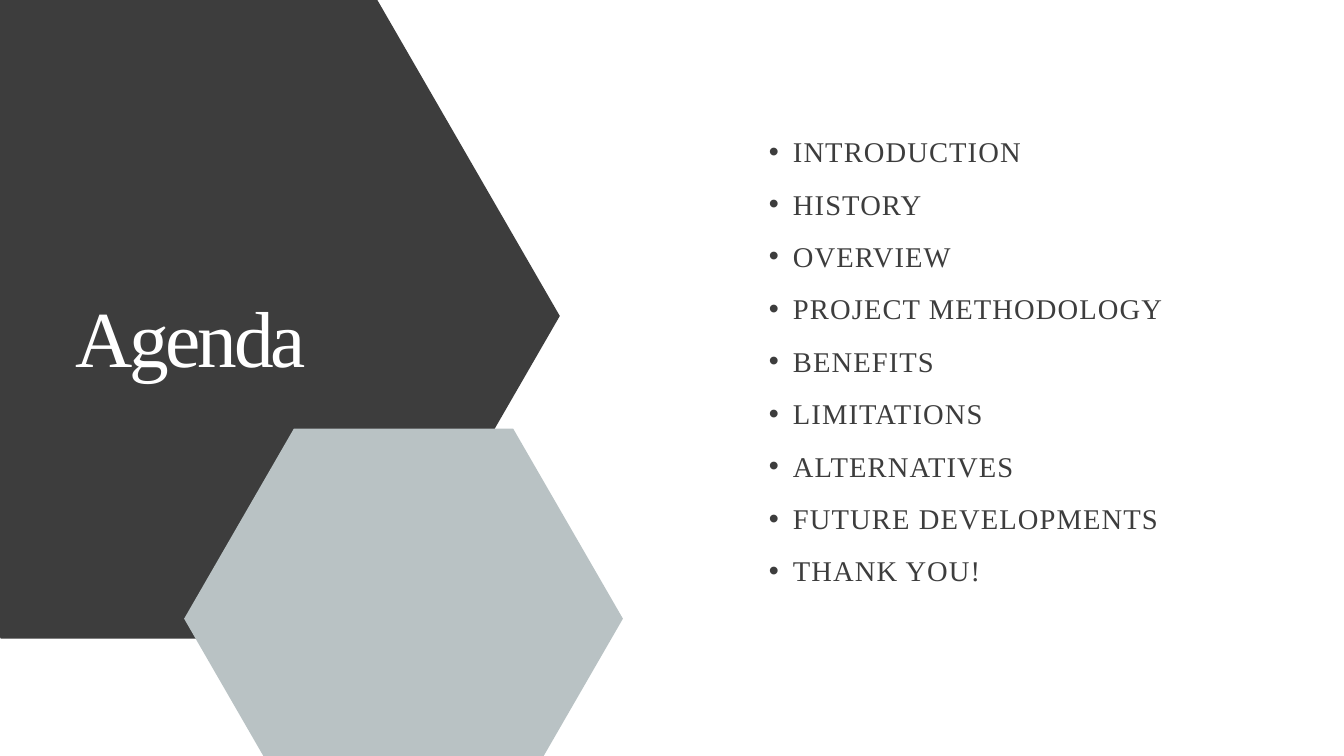
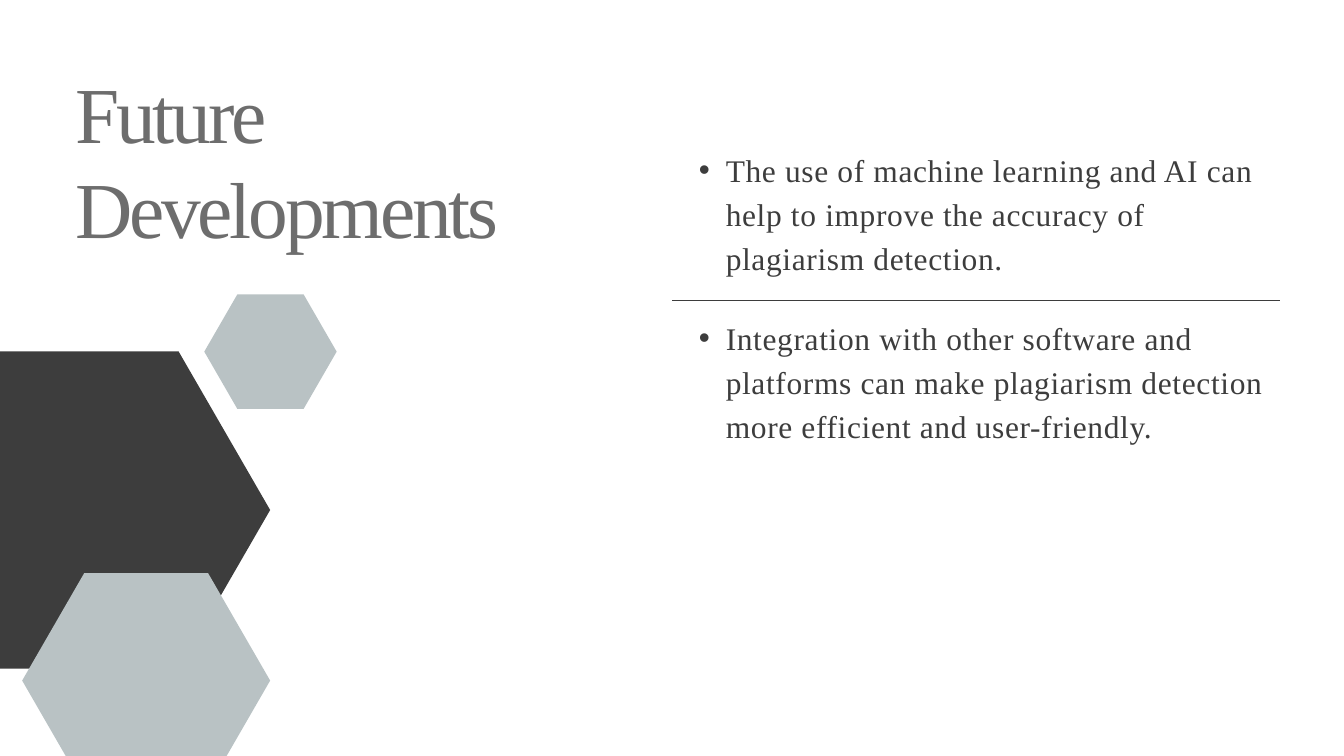
from math import sqrt

from lxml.etree import SubElement
from pptx import Presentation
from pptx.dml.color import RGBColor
from pptx.enum.shapes import MSO_CONNECTOR as CONN
from pptx.enum.text import MSO_AUTO_SIZE as AUTO
from pptx.oxml.ns import qn
from pptx.util import Inches, Pt

# Content
AGENDA = [
    "INTRODUCTION", "HISTORY", "OVERVIEW", "PROJECT METHODOLOGY", "BENEFITS",
    "LIMITATIONS", "ALTERNATIVES", "FUTURE DEVELOPMENTS", "THANK YOU!",
]
DEVELOPMENTS = [
    "The use of machine learning and AI can help to improve the accuracy "
    "of plagiarism detection.",
    "Integration with other software and platforms can make plagiarism "
    "detection more efficient and user-friendly.",
]

# Shared style
FONT = "Times New Roman"
DARK, GREY, MIST, WHITE = "3D3D3D", "6D6D6D", "B9C2C4", "FFFFFF"
TITLE = dict(size=85, leading=102, spacing=-3.4)
AGENDA_ITEM = dict(size=30.6, leading=42.9, spacing=1.2, indent=0.36)
POINT = dict(size=33.7, leading=47.2, spacing=0.7, indent=0.4)

# Hexagons: left, top, width, colour
AGENDA_HEXAGONS = [(-2.76, -0.1, 11.09, DARK), (2.74, 6.38, 6.53, MIST)]
FUTURE_HEXAGONS = [
    (-1.43, 5.23, 5.45, DARK), (3.04, 4.38, 1.97, MIST), (0.33, 8.53, 3.69, MIST),
]
HEXAGON_CORNERS = [(1, 0.5), (0.75, 1), (0.25, 1), (0, 0.5), (0.25, 0), (0.75, 0)]


def rgb(value):
    return RGBColor.from_string(value)


def add_slide(prs):
    s = prs.slides.add_slide(prs.slide_layouts[6])
    s.background.fill.solid()
    s.background.fill.fore_color.rgb = rgb(WHITE)
    return s


def add_hexagons(s, hexagons):
    """Draw regular hexagons with flat tops."""
    for left, top, width, color in hexagons:
        height = width * sqrt(3) / 2
        points = [(Inches(left + fx * width), Inches(top + fy * height))
                  for fx, fy in HEXAGON_CORNERS]
        builder = s.shapes.build_freeform(*points[0])
        builder.add_line_segments(points[1:], close=True)
        sp = builder.convert_to_shape()
        sp.shadow.inherit = False
        sp.fill.solid()
        sp.fill.fore_color.rgb = rgb(color)
        sp.line.fill.background()


def add_text(s, text, left, top, width, height, *, size, leading, spacing,
             color=DARK, indent=None):
    """Add a text box; an indent makes it a bullet."""
    sp = s.shapes.add_textbox(*map(Inches, (left, top, width, height)))
    tf = sp.text_frame
    tf.word_wrap = True
    tf.auto_size = AUTO.SHAPE_TO_FIT_TEXT
    tf.margin_left = tf.margin_top = tf.margin_right = tf.margin_bottom = 0
    p = tf.paragraphs[0]
    p.line_spacing = Pt(leading)
    r = p.add_run()
    r.text = text
    r.font.name, r.font.size = FONT, Pt(size)
    r.font.color.rgb = rgb(color)
    r.font._element.set("spc", str(round(spacing * 100)))
    if indent:
        p.level = 1
        pPr = p._p.get_or_add_pPr()
        pPr.set("marL", str(Inches(2 * indent)))
        pPr.set("indent", str(Inches(-indent)))
        SubElement(pPr, qn("a:buFont")).set("typeface", "Arial")
        SubElement(pPr, qn("a:buChar")).set("char", "•")


def add_rule(s, left, right, y):
    line = s.shapes.add_connector(
        CONN.STRAIGHT, Inches(left), Inches(y), Inches(right), Inches(y))
    line.line.color.rgb = rgb(DARK)
    line.line.width = Pt(0.75)
    SubElement(line._element.spPr, qn("a:effectLst"))


def build_agenda(prs):
    s = add_slide(prs)
    add_hexagons(s, AGENDA_HEXAGONS)
    add_text(s, "Agenda", 1.12, 4.29, 4.88, 1.58, color=WHITE, **TITLE)
    # Evenly stacked items
    top, step = 1.91, 0.78
    for i, item in enumerate(AGENDA):
        add_text(s, item, 11.08, top + i * step, 7.15, 0.64, **AGENDA_ITEM)


def build_future(prs):
    s = add_slide(prs)
    add_text(s, "Future Developments", 1.12, 0.95, 7.24, 2.99, color=GREY, **TITLE)
    add_hexagons(s, FUTURE_HEXAGONS)
    # Points above and below the rule
    left, width = 10, 9.05
    for text, top, height in zip(DEVELOPMENTS, (2.15, 4.65), (1.99, 3.15)):
        add_text(s, text, left, top, width, height, **POINT)
    add_rule(s, left, left + width, 4.47)


def main():
    prs = Presentation()
    prs.slide_width, prs.slide_height = Inches(20), Inches(11.25)
    build_agenda(prs)
    build_future(prs)
    prs.save("out.pptx")


if __name__ == "__main__":
    main()
